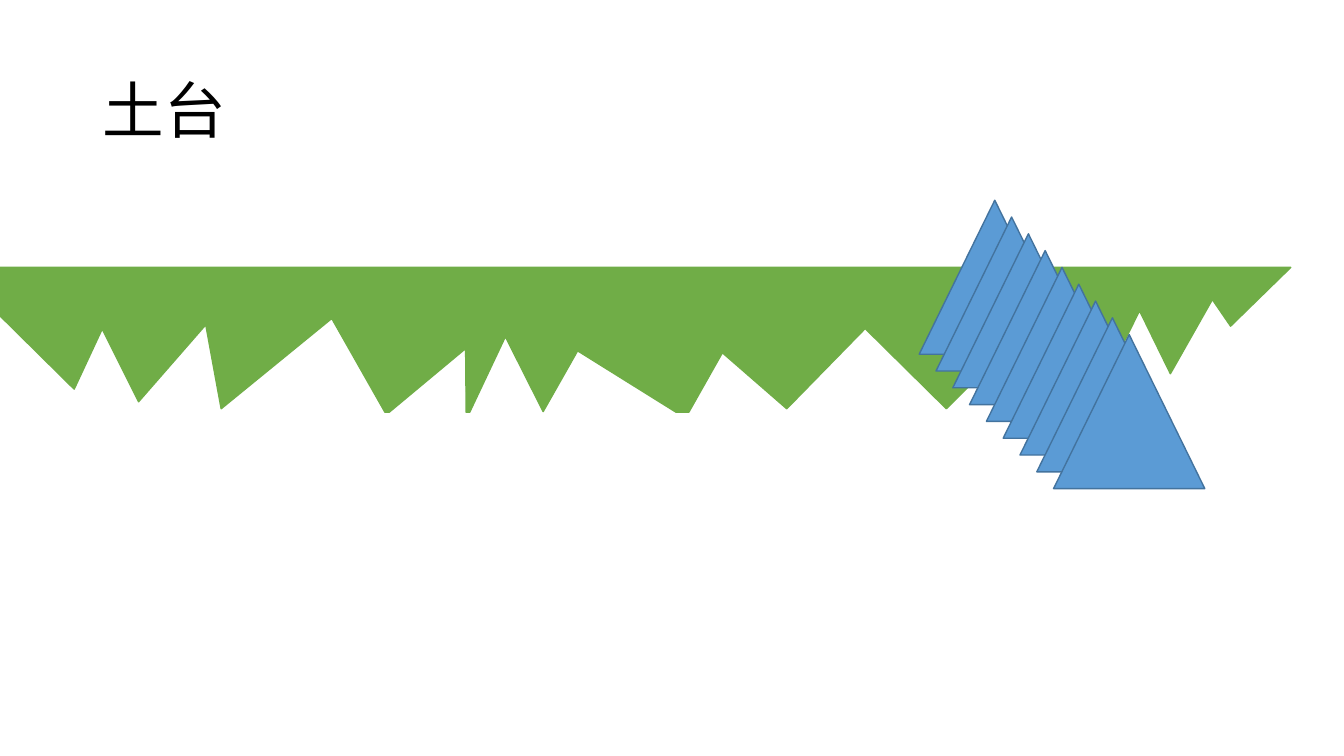
from pptx import Presentation
from pptx.dml.color import RGBColor
from pptx.enum.shapes import MSO_SHAPE as Shape
from pptx.enum.text import MSO_ANCHOR as Anchor, PP_ALIGN as Align
from pptx.oxml.ns import qn
from pptx.util import Pt
from lxml.etree import SubElement

BLACK = RGBColor(0x00, 0x00, 0x00)
GREEN = RGBColor(0x70, 0xAD, 0x47)
BLUE = RGBColor(0x5B, 0x9B, 0xD5)
DARK_BLUE = RGBColor(0x43, 0x73, 0x9E)

TITLE = "土台"
FONT = "Noto Sans CJK JP"
TITLE_PLACE = {"left": 66, "top": 28.8, "width": 828, "height": 104.4}

GROUND_OUTLINE = [
    (-35, 191), (922, 191), (879, 233), (866, 214), (836, 267), (814, 222),
    (778, 294.5), (770, 294.5), (742, 269), (736, 293), (720, 248),
    (676, 292), (618, 234.7), (562, 292), (516, 252), (492, 294.5),
    (483, 294.5), (412.6, 250.6), (388, 294), (361, 240.5), (335.5, 294.5),
    (333, 294.5), (332.6, 249), (278, 294.5), (275, 294.5), (237, 227.5),
    (158, 292), (147, 232), (99, 287), (73, 235), (53, 278),
]

TRIANGLE_COUNT = 9
TRIANGLE_STEP = 12
TRIANGLE_LEFT, TRIANGLE_TOP = 656.6, 143
TRIANGLE_WIDTH, TRIANGLE_HEIGHT = 108, 110


def set_values(target, values):
    for name, value in values.items():
        setattr(target, name, value)


def paint(shape, fill, line):
    shape.shadow.inherit = False
    shape.fill.solid()
    shape.fill.fore_color.rgb = fill
    shape.line.color.rgb = line
    shape.line.width = Pt(1)


deck = Presentation()
set_values(deck, {"slide_width": Pt(960), "slide_height": Pt(540)})
page = deck.slides.add_slide(deck.slide_layouts[5])

title = page.shapes.title
set_values(title, {name: Pt(value) for name, value in TITLE_PLACE.items()})
set_values(title.text_frame, {"vertical_anchor": Anchor.MIDDLE, "word_wrap": True})
para = title.text_frame.paragraphs[0]
set_values(para, {"alignment": Align.LEFT, "line_spacing": 0.9})
span = para.add_run()
span.text = TITLE
set_values(span.font, {"name": FONT, "size": Pt(44)})
span.font.color.rgb = BLACK
SubElement(span.font._element, qn("a:ea")).set("typeface", FONT)

corners = [(Pt(x), Pt(y)) for x, y in GROUND_OUTLINE]
builder = page.shapes.build_freeform(*corners[0])
builder.add_line_segments(corners[1:], close=True)
paint(builder.convert_to_shape(), GREEN, GREEN)

for index in range(TRIANGLE_COUNT):
    shift = index * TRIANGLE_STEP
    triangle = page.shapes.add_shape(
        Shape.ISOSCELES_TRIANGLE,
        Pt(TRIANGLE_LEFT + shift), Pt(TRIANGLE_TOP + shift),
        Pt(TRIANGLE_WIDTH), Pt(TRIANGLE_HEIGHT),
    )
    paint(triangle, BLUE, DARK_BLUE)

deck.save("out.pptx")
